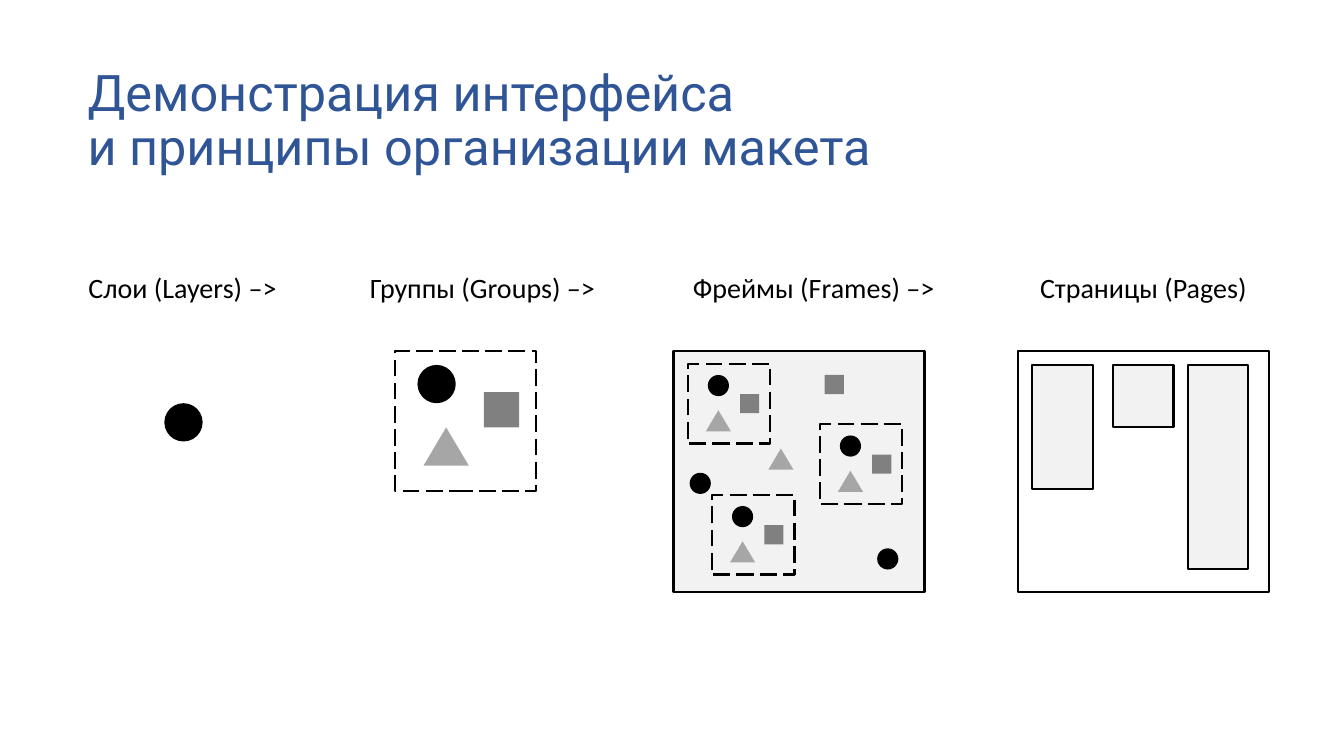
from pptx import Presentation
from pptx.dml.color import RGBColor
from pptx.enum.dml import MSO_LINE
from pptx.enum.shapes import MSO_SHAPE
from pptx.enum.text import MSO_ANCHOR, PP_ALIGN
from pptx.util import Inches, Pt

COLS, ROWS = 133.3, 75
BLACK, DARK, MID, PALE, BLUE = "000000", "808080", "A6A6A6", "F2F2F2", "2F5597"

LABEL_ROW, PANEL_ROW = 26.7, 34.8
PANEL_W, PANEL_H = 24.9, 23.9

LABELS = [
    ("Слои (Layers) –>", 7.7, 20.8),
    ("Группы (Groups) –>", 35.6, 24.5),
    ("Фреймы (Frames) –>", 66.8, 27.8),
    ("Страницы (Pages)", 99.5, 27.8),
]
FIGURES = {
    "circle": (MSO_SHAPE.OVAL, BLACK),
    "square": (MSO_SHAPE.RECTANGLE, DARK),
    "triangle": (MSO_SHAPE.ISOSCELES_TRIANGLE, MID),
}
LARGE = {"circle": (3.8, 3.8), "square": (3.5, 3.5), "triangle": (4.5, 3.8)}
SMALL = {"circle": (2.1, 2.1), "square": (1.9, 1.9), "triangle": (2.5, 2.1)}
LARGE_GROUP = {"square": (8.8, 4.1), "circle": (2.2, 1.4), "triangle": (2.8, 7.6)}
SMALL_GROUP = {"square": (5.2, 3), "circle": (2, 1.1), "triangle": (1.8, 4.6)}
SMALL_GROUP_SPOTS = [(68.2, 36.1), (70.6, 49.1), (81.3, 42.1)]
LOOSE_FIGURES = [
    ("circle", 68.4, 46.9),
    ("square", 81.8, 37.2),
    ("circle", 87, 54.4),
    ("triangle", 76.2, 44.5),
]
PAGE_FRAMES = [(102.4, 12.3), (110.4, 6.2), (117.8, 20.3)]


def color(value):
    return RGBColor.from_string(value)


def write(tf, text, font="Calibri", size=20, fill=BLACK, align=PP_ALIGN.CENTER):
    p = tf.paragraphs[0]
    p.text = text
    p.alignment = align
    p.line_spacing = 0.9
    p.font.name = font
    p.font.size = Pt(size)
    p.font.color.rgb = color(fill)


class Board:
    """Draws styled elements on the current slide, measured in grid columns and rows."""

    def __init__(self, prs):
        self.col = prs.slide_width / COLS
        self.row = prs.slide_height / ROWS
        self.s = prs.slides.add_slide(prs.slide_layouts[6])

    def place(self, x, y, w, h):
        return [round(n) for n in (x * self.col, y * self.row, w * self.col, h * self.row)]

    def text(self, text, x, y, w, h, anchor=MSO_ANCHOR.TOP, **style):
        tf = self.s.shapes.add_textbox(*self.place(x, y, w, h)).text_frame
        tf.word_wrap = True
        tf.vertical_anchor = anchor
        write(tf, text, **style)

    def shape(self, kind, x, y, w, h, fill=None, line=None, dash=None):
        sp = self.s.shapes.add_shape(kind, *self.place(x, y, w, h))
        sp.shadow.inherit = False
        if fill:
            sp.fill.solid()
            sp.fill.fore_color.rgb = color(fill)
        else:
            sp.fill.background()
        if line:
            sp.line.color.rgb = color(line)
            sp.line.width = Pt(1.5)
            if dash:
                sp.line.dash_style = dash
        else:
            sp.line.fill.background()

    def frame(self, x, y, w, h, fill=None, dash=None):
        self.shape(MSO_SHAPE.RECTANGLE, x, y, w, h, fill, BLACK, dash)

    def figure(self, name, x, y, sizes):
        kind, fill = FIGURES[name]
        self.shape(kind, x, y, *sizes[name], fill=fill)

    def group(self, x, y, w, h, offsets, sizes):
        self.frame(x, y, w, h, dash=MSO_LINE.LONG_DASH)
        for name, (dx, dy) in offsets.items():
            self.figure(name, x + dx, y + dy, sizes)


def main():
    prs = Presentation()
    prs.slide_width, prs.slide_height = Inches(13.33), Inches(7.5)
    board = Board(prs)

    board.text("Демонстрация интерфейса\vи принципы организации макета",
               7.7, 5.1, 118.1, 12.9, anchor=MSO_ANCHOR.BOTTOM,
               font="Roboto", size=36, fill=BLUE, align=PP_ALIGN.LEFT)
    for label, x, w in LABELS:
        board.text(label, x, LABEL_ROW, w, 3.8)

    board.figure("circle", 16.3, 40, LARGE)

    board.group(39.2, PANEL_ROW, 14, 13.9, LARGE_GROUP, LARGE)

    board.frame(66.8, PANEL_ROW, PANEL_W, PANEL_H, fill=PALE)
    for x, y in SMALL_GROUP_SPOTS:
        board.group(x, y, 8.2, 7.9, SMALL_GROUP, SMALL)
    for name, x, y in LOOSE_FIGURES:
        board.figure(name, x, y, SMALL)

    board.frame(101, PANEL_ROW, PANEL_W, PANEL_H)
    for x, h in PAGE_FRAMES:
        board.frame(x, PANEL_ROW + 1.4, 6, h, fill=PALE)

    prs.save("out.pptx")


if __name__ == "__main__":
    main()
